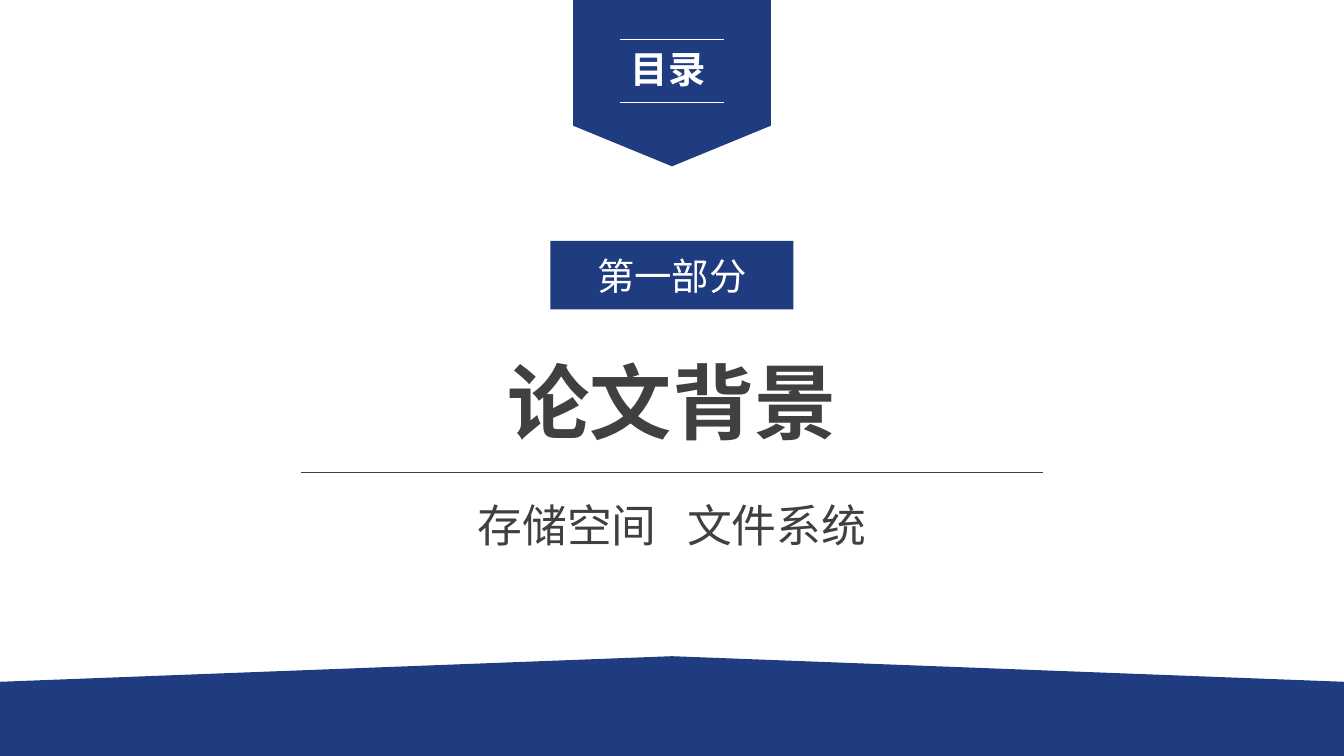
from dataclasses import dataclass

from lxml import etree
from pptx import Presentation
from pptx import util as u
from pptx.dml.color import RGBColor
from pptx.enum import shapes, text
from pptx.oxml.ns import qn

NAVY = RGBColor(0x1F, 0x3C, 0x80)
WHITE = RGBColor(0xFF, 0xFF, 0xFF)
GRAY = RGBColor(0x40, 0x40, 0x40)
FONT = "Noto Sans CJK SC"
SLIDE_WIDTH, SLIDE_HEIGHT = 13.33, 7.5
CENTER = SLIDE_WIDTH / 2


@dataclass(frozen=True)
class Box:
    left: float
    top: float
    width: float
    height: float

    def lengths(self) -> list:
        return [u.Inches(v) for v in (self.left, self.top, self.width, self.height)]


@dataclass(frozen=True)
class Style:
    size: float
    color: RGBColor
    bold: bool = False
    align: text.PP_ALIGN = text.PP_ALIGN.CENTER


@dataclass(frozen=True)
class Pennant:
    """A pentagon pointing up or down, centred on the slide."""
    top: float
    width: float
    height: float
    rotation: int
    point: float


@dataclass(frozen=True)
class Rule:
    """A horizontal line centred on the slide."""
    y: float
    width: float
    color: RGBColor


PENNANTS = [
    Pennant(0, 1.96, 1.65, 90, 0.244),
    Pennant(6.51, SLIDE_WIDTH, 1.04, 270, 0.244),
]
RULES = [
    Rule(0.39, 1.04, WHITE),
    Rule(1.02, 1.04, WHITE),
    Rule(4.69, 7.35, GRAY),
]


def paint(shape, color: RGBColor) -> None:
    shape.shadow.inherit = False
    shape.fill.solid()
    shape.fill.fore_color.rgb = color
    shape.line.fill.background()


def add_pennant(slide, pennant: Pennant) -> None:
    # Length and breadth swap when the shape is turned a quarter
    middle = pennant.top + pennant.height / 2
    box = Box(CENTER - pennant.height / 2, middle - pennant.width / 2,
              pennant.height, pennant.width)
    shape = slide.shapes.add_shape(shapes.MSO_SHAPE.PENTAGON, *box.lengths())
    shape.adjustments[0] = pennant.point
    shape.rotation = pennant.rotation
    paint(shape, NAVY)


def add_rule(slide, rule: Rule) -> None:
    y = u.Inches(rule.y)
    line = slide.shapes.add_connector(
        shapes.MSO_CONNECTOR.STRAIGHT,
        u.Inches(CENTER - rule.width / 2), y, u.Inches(CENTER + rule.width / 2), y)
    line.line.color.rgb = rule.color
    line.line.width = u.Pt(0.5)
    etree.SubElement(line._element.spPr, qn("a:effectLst"))


def add_run(paragraph, words: str, style: Style, spacing: float = 0) -> None:
    run = paragraph.add_run()
    run.text = words
    run.font.size = u.Pt(style.size)
    run.font.bold = style.bold
    run.font.color.rgb = style.color
    run.font.name = FONT
    properties = run._r.get_or_add_rPr()
    etree.SubElement(properties, qn("a:ea")).set("typeface", FONT)
    if spacing:
        properties.set("spc", str(round(spacing * 100)))


def start_text(shape, box: Box, style: Style):
    """Place the shape and return its formatted first paragraph."""
    shape.left, shape.top, shape.width, shape.height = box.lengths()
    frame = shape.text_frame
    frame.word_wrap = False
    frame.auto_size = text.MSO_AUTO_SIZE.NONE
    frame.vertical_anchor = text.MSO_ANCHOR.TOP
    paragraph = frame.paragraphs[0]
    paragraph.alignment = style.align
    paragraph.space_before = u.Pt(0)
    return paragraph


def main() -> None:
    deck = Presentation()
    deck.slide_width = u.Inches(SLIDE_WIDTH)
    deck.slide_height = u.Inches(SLIDE_HEIGHT)
    slide = deck.slides.add_slide(deck.slide_layouts[0])
    title, topics = slide.placeholders

    # Banner and footer, then the lines
    for pennant in PENNANTS:
        add_pennant(slide, pennant)
    for rule in RULES:
        add_rule(slide, rule)

    # Banner heading
    heading_box = Box(6.16, 0.41, 0.95, 0.55)
    heading_style = Style(26.7, WHITE, bold=True, align=text.PP_ALIGN.LEFT)
    heading = slide.shapes.add_textbox(*heading_box.lengths())
    add_run(start_text(heading, heading_box, heading_style), "目录", heading_style)

    # Part label on its plate
    label_box = Box(5.46, 2.46, 2.41, 0.55)
    label_style = Style(26.7, WHITE)
    part = slide.shapes.add_group_shape()
    plate = part.shapes.add_shape(shapes.MSO_SHAPE.RECTANGLE,
                                  *Box(5.46, 2.39, 2.41, 0.68).lengths())
    paint(plate, NAVY)
    label = part.shapes.add_textbox(*label_box.lengths())
    add_run(start_text(label, label_box, label_style), "第一部分", label_style)

    # Title
    title_style = Style(58.7, GRAY, bold=True)
    add_run(start_text(title, Box(4.92, 3.44, 3.49, 1.09), title_style),
            "论文背景", title_style)

    # Topics, parted by one widened space
    topic_style = Style(32, GRAY)
    topic_line = start_text(topics, Box(4.57, 4.89, 4.19, 0.64), topic_style)
    add_run(topic_line, "存储空间", topic_style)
    add_run(topic_line, " ", topic_style, spacing=14.3)
    add_run(topic_line, "文件系统", topic_style)

    deck.save("out.pptx")


if __name__ == "__main__":
    main()
